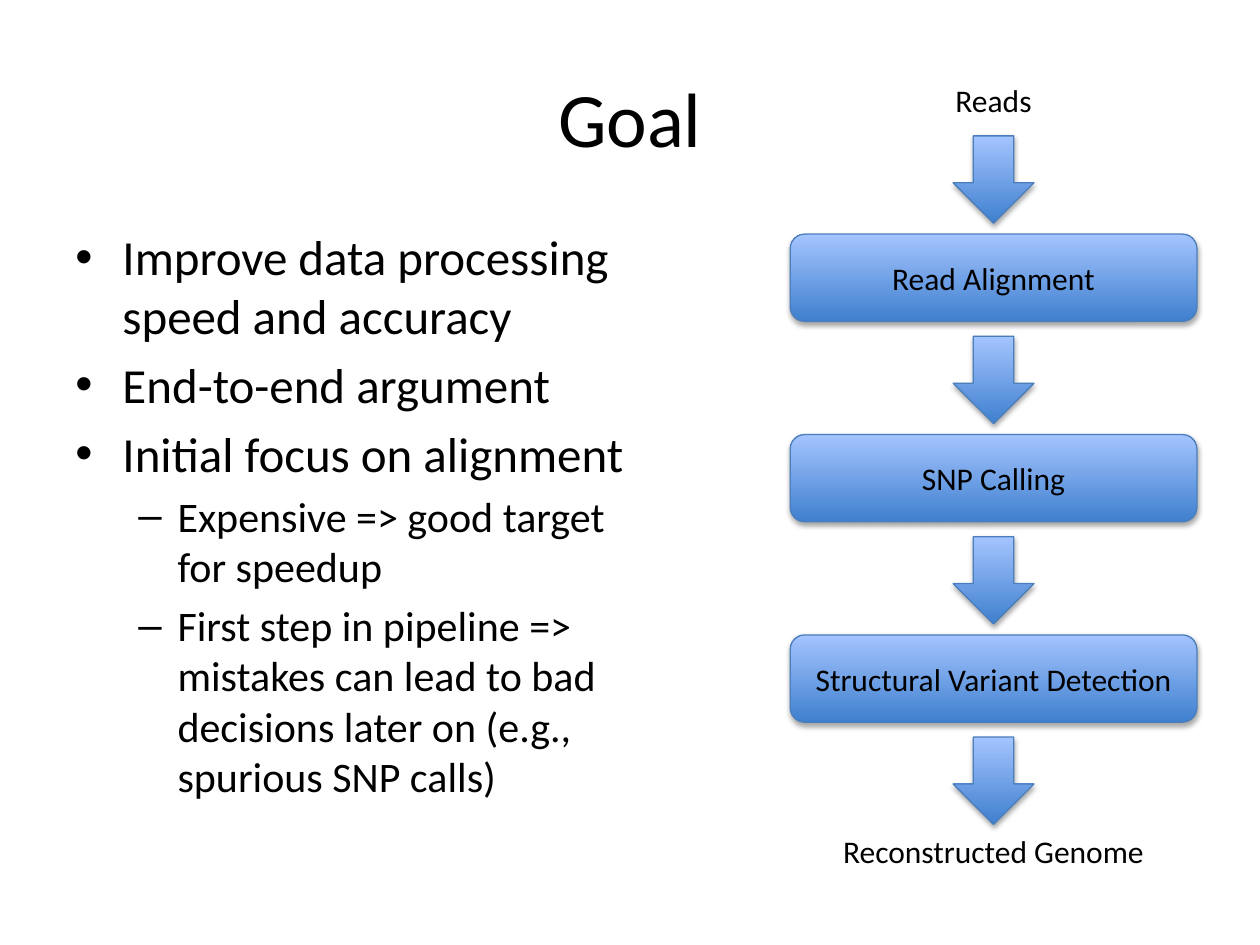
from dataclasses import dataclass
from lxml.etree import SubElement
from pptx import Presentation
from pptx.dml.color import RGBColor
from pptx.enum.shapes import MSO_SHAPE
from pptx.enum.text import MSO_ANCHOR, PP_ALIGN
from pptx.oxml.ns import qn
from pptx.util import Cm, Pt


@dataclass(frozen=True)
class Theme:
    font: str = "Calibri"
    bullet_font: str = "Arial"
    text: str = "000000"
    dark: str = "3F80CE"
    light: str = "A4C4FF"
    line: str = "4B7EBC"
    title: int = 44
    label: int = 18
    body: tuple = (28, 24)


THEME = Theme()
BULLETS = [
    (0, "Improve data processing speed and accuracy"),
    (0, "End-to-end argument"),
    (0, "Initial focus on alignment"),
    (1, "Expensive => good target for speedup"),
    (1, "First step in pipeline => mistakes can lead to bad decisions "
        "later on (e.g., spurious SNP calls)"),
]
BULLET_STYLES = [("•", 0.95, 0.95), ("–", 2.06, 0.79)]
STEPS = ["Read Alignment", "SNP Calling", "Structural Variant Detection"]
FLOW_LEFT, FLOW_WIDTH = 15.93, 8.2
BLOCK_HEIGHT, PITCH = 1.76, 4.04
FIRST_ARROW, FIRST_STEP = 2.74, 4.72
ARROW_WIDTH = 1.63


def apply(obj, values):
    for name, value in values.items():
        setattr(obj, name, value)


def write(p, text, size, align=PP_ALIGN.CENTER):
    p.alignment = align
    r = p.add_run()
    r.text = text
    apply(r.font, {"name": THEME.font, "size": Pt(size)})
    r.font.color.rgb = RGBColor.from_string(THEME.text)


def add_text_frame(s, left, top, width, height, anchor=MSO_ANCHOR.TOP):
    tf = s.shapes.add_textbox(Cm(left), Cm(top), Cm(width), Cm(height)).text_frame
    apply(tf, {"word_wrap": True, "vertical_anchor": anchor})
    return tf


def add_bullet(p, level, text):
    char, margin, hang = BULLET_STYLES[level]
    size = THEME.body[level]
    write(p, text, size, PP_ALIGN.LEFT)
    apply(p, {"level": level, "space_before": Pt(size * 0.2)})
    pPr = p._p.get_or_add_pPr()
    pPr.set("marL", str(Cm(margin)))
    pPr.set("indent", str(-Cm(hang)))
    SubElement(pPr, qn("a:buFont"), typeface=THEME.bullet_font)
    SubElement(pPr, qn("a:buChar"), char=char)


def add_bullets(s):
    tf = add_text_frame(s, 1.27, 4.45, 11.86, 13.51)
    for i, (level, text) in enumerate(BULLETS):
        p = tf.add_paragraph() if i else tf.paragraphs[0]
        add_bullet(p, level, text)


def add_shadow(sp):
    effects = SubElement(sp._element.spPr, qn("a:effectLst"))
    shadow = SubElement(effects, qn("a:outerShdw"), blurRad=str(Pt(3.1)),
                        dist=str(Pt(1.8)), dir="5400000", rotWithShape="0")
    color = SubElement(shadow, qn("a:srgbClr"), val="000000")
    SubElement(color, qn("a:alpha"), val="35000")


def add_block(s, kind, top, width):
    left = FLOW_LEFT + (FLOW_WIDTH - width) / 2
    sp = s.shapes.add_shape(kind, Cm(left), Cm(top), Cm(width), Cm(BLOCK_HEIGHT))
    sp.fill.gradient()
    sp.fill.gradient_angle = 90
    for stop, color, position in zip(sp.fill.gradient_stops,
                                     (THEME.dark, THEME.light), (0, 1)):
        stop.color.rgb = RGBColor.from_string(color)
        stop.position = position
    sp.line.color.rgb = RGBColor.from_string(THEME.line)
    sp.line.width = Pt(0.75)
    add_shadow(sp)
    return sp


def add_label(s, top, text):
    tf = add_text_frame(s, FLOW_LEFT, top, FLOW_WIDTH, 1.02)
    write(tf.paragraphs[0], text, THEME.label)


def add_flow(s):
    add_label(s, 1.5, "Reads")
    for i in range(len(STEPS) + 1):
        add_block(s, MSO_SHAPE.DOWN_ARROW, FIRST_ARROW + i * PITCH, ARROW_WIDTH)
    for i, step in enumerate(STEPS):
        sp = add_block(s, MSO_SHAPE.ROUNDED_RECTANGLE,
                       FIRST_STEP + i * PITCH, FLOW_WIDTH)
        apply(sp.text_frame, {"word_wrap": True,
                              "vertical_anchor": MSO_ANCHOR.MIDDLE})
        write(sp.text_frame.paragraphs[0], step, THEME.label)
    add_label(s, 16.64, "Reconstructed Genome")


def main():
    prs = Presentation()
    apply(prs, {"slide_width": Cm(25.4), "slide_height": Cm(19.05)})
    s = prs.slides.add_slide(prs.slide_layouts[6])
    title = add_text_frame(s, 1.27, 0.76, 22.86, 3.18, MSO_ANCHOR.MIDDLE)
    write(title.paragraphs[0], "Goal", THEME.title)
    add_bullets(s)
    add_flow(s)
    prs.save("out.pptx")


main()
